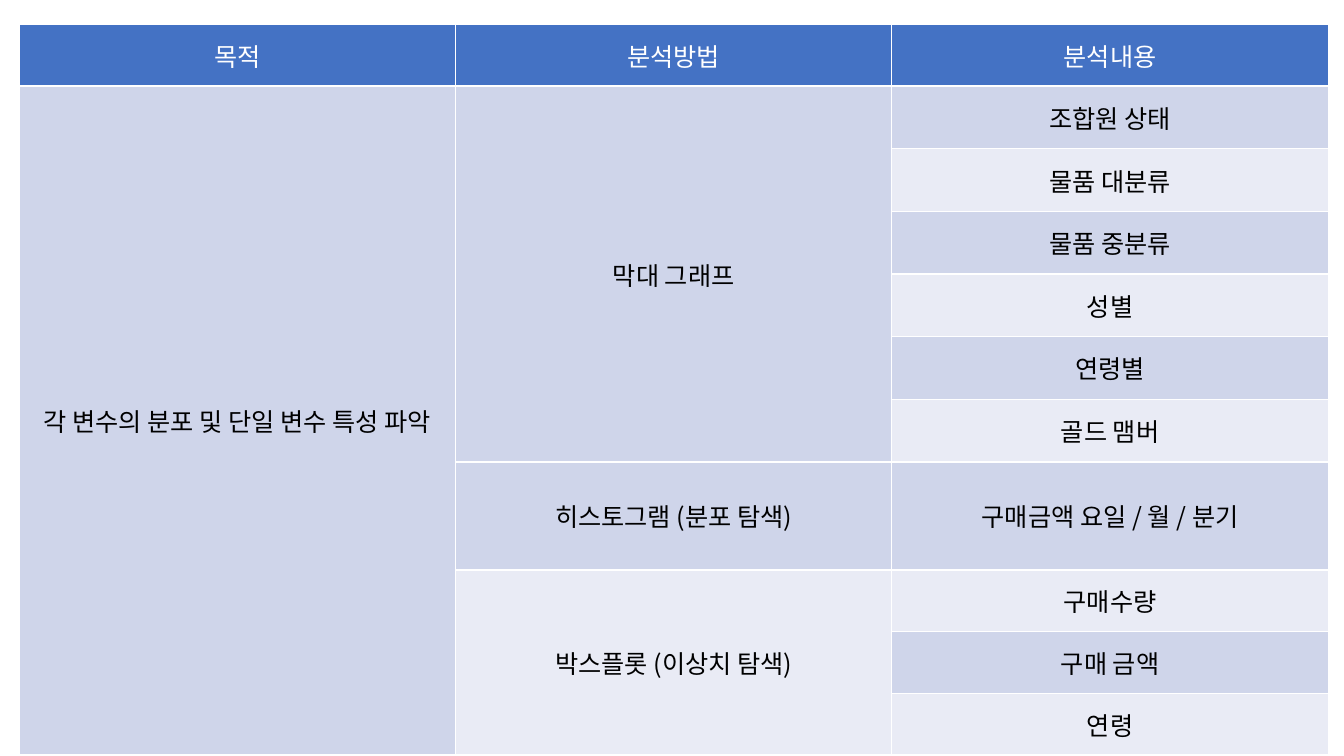
import pptx
import pptx.dml.color
import pptx.enum.text
import pptx.oxml
import pptx.oxml.ns
import pptx.util

EMU_PER_PIXEL = 914400 / 100.8
FONT = "Noto Sans CJK KR"
COLORS = {
    "header": "4472C4",
    "dark band": "CFD5EA",
    "light band": "E9EBF5",
    "border": "FFFFFF",
    "header text": "FFFFFF",
    "body text": "000000",
}

HEADERS = ["목적", "분석방법", "분석내용"]
PURPOSE = "각 변수의 분포 및 단일 변수 특성 파악"
# Each method with its contents and the height of the block in pixels
METHODS = [
    ("막대 그래프",
     ["조합원 상태", "물품 대분류", "물품 중분류", "성별", "연령별", "골드 맴버"], 376),
    ("히스토그램 (분포 탐색)", ["구매금액 요일 / 월 / 분기"], 108),
    ("박스플롯 (이상치 탐색)", ["구매수량", "구매 금액", "연령"], 185),
]
LEFT, TOP, WIDTH, HEADER_HEIGHT = 19, 24, 1309, 62


def px(pixels):
    return pptx.util.Emu(round(pixels * EMU_PER_PIXEL))


def rgb(name):
    return pptx.dml.color.RGBColor.from_string(COLORS[name])


def set_borders(cell):
    properties = cell._tc.get_or_add_tcPr()
    for position, side in enumerate(("lnL", "lnR", "lnT", "lnB")):
        line = pptx.oxml.parse_xml(
            f'<a:{side} {pptx.oxml.ns.nsdecls("a")} w="12700"><a:solidFill>'
            f'<a:srgbClr val="{COLORS["border"]}"/></a:solidFill></a:{side}>')
        properties.insert(position, line)


def style_cell(cell, fill, text_color):
    cell.fill.solid()
    cell.fill.fore_color.rgb = rgb(fill)
    cell.vertical_anchor = pptx.enum.text.MSO_ANCHOR.MIDDLE
    set_borders(cell)
    for paragraph in cell.text_frame.paragraphs:
        paragraph.alignment = pptx.enum.text.PP_ALIGN.CENTER
        for run in paragraph.runs:
            run.font.size = pptx.util.Pt(18)
            run.font.bold = False
            run.font.name = FONT
            run.font.color.rgb = rgb(text_color)
            east_asian = pptx.oxml.parse_xml(
                f'<a:ea {pptx.oxml.ns.nsdecls("a")} typeface="{FONT}"/>')
            run.font._element.find(pptx.oxml.ns.qn("a:latin")).addnext(east_asian)


def fill_table(table):
    # Header and purpose
    table.rows[0].height = px(HEADER_HEIGHT)
    for column, header in enumerate(HEADERS):
        table.cell(0, column).text_frame.text = header
    last_row = len(table.rows) - 1
    table.cell(1, 0).merge(table.cell(last_row, 0))
    table.cell(1, 0).text_frame.text = PURPOSE

    # Methods and their contents
    row = 1
    for method, contents, height in METHODS:
        if len(contents) > 1:
            table.cell(row, 1).merge(table.cell(row + len(contents) - 1, 1))
        table.cell(row, 1).text_frame.text = method
        for content in contents:
            table.cell(row, 2).text_frame.text = content
            table.rows[row].height = px(height / len(contents))
            row += 1


def style_table(table):
    for row_index, row in enumerate(table.rows):
        if row_index == 0:
            fill, text_color = "header", "header text"
        else:
            fill = "dark band" if row_index % 2 else "light band"
            text_color = "body text"
        for cell in row.cells:
            style_cell(cell, fill, text_color)


def add_analysis_table(slide):
    row_count = 1 + sum(len(contents) for _, contents, _ in METHODS)
    height = HEADER_HEIGHT + sum(block for _, _, block in METHODS)
    table = slide.shapes.add_table(
        row_count, len(HEADERS), px(LEFT), px(TOP), px(WIDTH), px(height)).table
    fill_table(table)
    style_table(table)


def main():
    presentation = pptx.Presentation()
    presentation.slide_width = pptx.util.Inches(13.33)
    presentation.slide_height = pptx.util.Inches(7.5)
    slide = presentation.slides.add_slide(presentation.slide_layouts[6])
    add_analysis_table(slide)
    presentation.save("out.pptx")


main()
